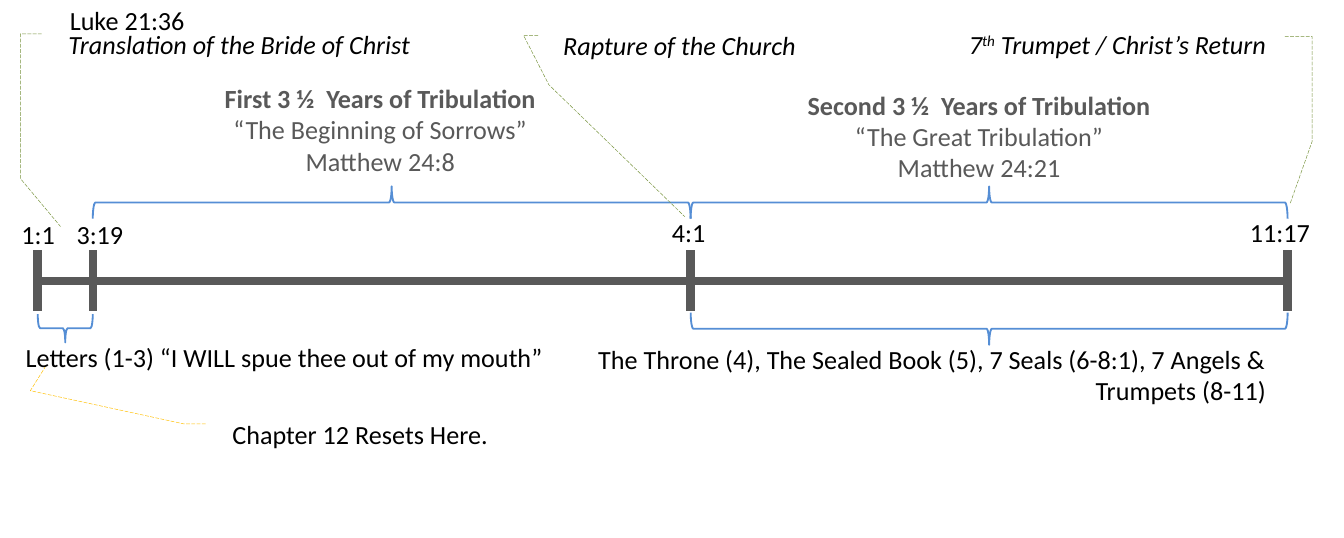
from pptx import Presentation
from pptx.dml.color import RGBColor
from pptx.enum.dml import MSO_LINE
from pptx.enum.shapes import MSO_CONNECTOR, MSO_SHAPE
from pptx.enum.text import MSO_ANCHOR, MSO_AUTO_SIZE, PP_ALIGN
from pptx.oxml.ns import qn
from pptx.util import Pt
from lxml import etree

LEFT, CENTER, RIGHT = PP_ALIGN.LEFT, PP_ALIGN.CENTER, PP_ALIGN.RIGHT
MIDDLE, TOP = MSO_ANCHOR.MIDDLE, MSO_ANCHOR.TOP
GROW, FIXED = MSO_AUTO_SIZE.SHAPE_TO_FIT_TEXT, MSO_AUTO_SIZE.NONE
CALLOUT, BRACE = MSO_SHAPE.LINE_CALLOUT_3_NO_BORDER, MSO_SHAPE.RIGHT_BRACE
STRAIGHT, LONG_DASH = MSO_CONNECTOR.STRAIGHT, MSO_LINE.LONG_DASH

THEME = {
    "font": "Calibri", "size": 14,
    "text": "000000", "axis": "595959", "brace": "558ED5",
    "event": "77933C", "reset": "FFC000",
    "axis_width": 4.5, "brace_width": 1, "callout_width": 0.25,
}

TICKS = {"1:1": 20.2, "3:19": 49.7, "4:1": 370, "11:17": 689.8}
AXIS_Y, TICK_HALF = 150.3, 16.2

LABELS = [
    ("1:1", 0, 110.9, 41),
    ("3:19", 29.5, 110.9, 48.2),
    ("4:1", 348.5, 110.2, 41),
    ("11:17", 658.1, 110.2, 55.4),
]
BRACES = [
    ("3:19", "4:1", 108.4, 17.3, 270),
    ("4:1", "11:17", 108.4, 17.3, 270),
    ("1:1", "3:19", 175.7, 15.1, 90),
    ("4:1", "11:17", 176, 17.3, 90),
]
PERIODS = [
    (93.6, 38.2, 220.3,
     ["First 3 ½  Years of Tribulation", "“The Beginning of Sorrows”", "Matthew 24:8"]),
    (409.7, 41.8, 229.7,
     ["Second 3 ½  Years of Tribulation", "“The Great Tribulation”", "Matthew 24:21"]),
]
NOTES = [
    ("Letters (1-3) “I WILL spue thee out of my mouth”", 2.2, 177.1, 337.7, 28.1, LEFT),
    ("The Throne (4), The Sealed Book (5), 7 Seals (6-8:1), 7 Angels & Trumpets (8-11)",
     300.2, 177.8, 389.5, 45.4, RIGHT),
    ("Luke 21:36", 25.9, -3.6, 139.7, 28.1, LEFT),
]
CALLOUT_H = 15.1
ITALIC = {"italic": True}
CALLOUTS = [
    ([("Translation of the Bride of Christ", ITALIC)], 25.2, 15.8, 234.7, LEFT, "event",
     (0.157, -0.012, 0.157, -0.061, 5.276, -0.061, 6.982, 0.031)),
    ([("Rapture of the Church", ITALIC)], 290.2, 16.6, 159.8, LEFT, "event",
     (0.157, -0.012, 0.157, -0.061, 1.906, 0.024, 6.58, 0.48)),
    ([("7", ITALIC), ("th", {"italic": True, "baseline": 30000}),
      (" Trumpet / Christ’s Return", ITALIC)], 450, 15.8, 239.8, RIGHT, "event",
     (0.248, 0.994, 0.248, 1.055, 3.959, 1.055, 6.2, 1.005)),
    ([("Chapter 12 Resets Here.", {})], 113, 224.6, 234.7, LEFT, "reset",
     (0.157, -0.012, 0.157, -0.061, -1.023, -0.412, -1.894, -0.377)),
]


def rgb(name):
    return RGBColor.from_string(THEME[name])


def set_line(sp, color, width):
    sp.line.color.rgb = rgb(color)
    sp.line.width = Pt(THEME[width])


def write(sp, paragraphs, align=LEFT, color="text", anchor=TOP, wrap=True, auto_size=GROW):
    tf = sp.text_frame
    frame = {"margin_left": Pt(11.5), "margin_right": Pt(11.5), "margin_top": Pt(5.8),
             "margin_bottom": Pt(5.8), "word_wrap": wrap, "auto_size": auto_size,
             "vertical_anchor": anchor}
    for key, value in frame.items():
        setattr(tf, key, value)
    for i, runs in enumerate(paragraphs):
        p = tf.paragraphs[0] if i == 0 else tf.add_paragraph()
        p.alignment = align
        for text, style in runs:
            r = p.add_run()
            r.text = text
            r.font.color.rgb = rgb(color)
            font = {"name": THEME["font"], "size": Pt(THEME["size"]), **style}
            baseline = font.pop("baseline", None)
            for key, value in font.items():
                setattr(r.font, key, value)
            if baseline:
                r._r.get_or_add_rPr().set("baseline", str(baseline))


def add_text(x, y, w, h, paragraphs, **style):
    write(s.shapes.add_textbox(Pt(x), Pt(y), Pt(w), Pt(h)), paragraphs, **style)


def add_outline(kind, x, y, w, h, color, width):
    sp = s.shapes.add_shape(kind, Pt(x), Pt(y), Pt(w), Pt(h))
    sp.shadow.inherit = False
    sp.fill.background()
    set_line(sp, color, width)
    return sp


def add_bar(x1, y1, x2, y2):
    sp = s.shapes.add_connector(STRAIGHT, Pt(x1), Pt(y1), Pt(x2), Pt(y2))
    set_line(sp, "axis", "axis_width")
    etree.SubElement(sp._element.spPr, qn("a:effectLst"))


prs = Presentation()
prs.slide_width, prs.slide_height = Pt(720), Pt(288)
s = prs.slides.add_slide(prs.slide_layouts[6])

add_bar(TICKS["1:1"], AXIS_Y, TICKS["11:17"], AXIS_Y)
for x in TICKS.values():
    add_bar(x, AXIS_Y - TICK_HALF, x, AXIS_Y + TICK_HALF)

for start, end, y, depth, rotation in BRACES:
    x1, x2 = TICKS[start], TICKS[end]
    span = x2 - x1
    sp = add_outline(BRACE, (x1 + x2 - depth) / 2, y - span / 2, depth, span,
                     "brace", "brace_width")
    sp.rotation = rotation

for runs, x, y, w, align, color, points in CALLOUTS:
    sp = add_outline(CALLOUT, x, y, w, CALLOUT_H, color, "callout_width")
    sp.line.dash_style = LONG_DASH
    for i, value in enumerate(points):
        sp.adjustments[i] = value
    write(sp, [runs], align=align, anchor=MIDDLE, auto_size=FIXED)

for text, x, y, w in LABELS:
    add_text(x, y, w, 28.1, [[(text, {})]], wrap=False)

for x, y, w, lines in PERIODS:
    add_text(x, y, w, 61.9, [[(text, {"bold": i == 0})] for i, text in enumerate(lines)],
             align=CENTER, color="axis")

for text, x, y, w, h, align in NOTES:
    add_text(x, y, w, h, [[(text, {})]], align=align)

prs.save("out.pptx")
